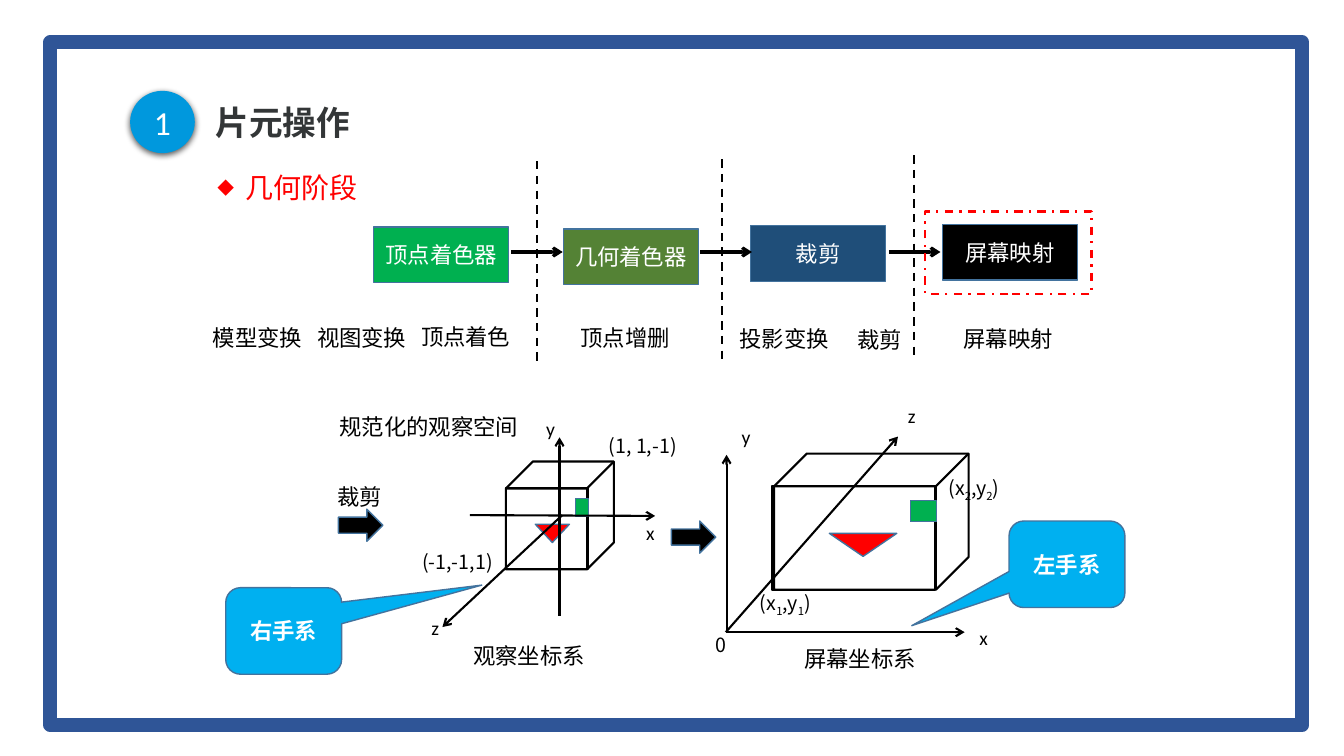
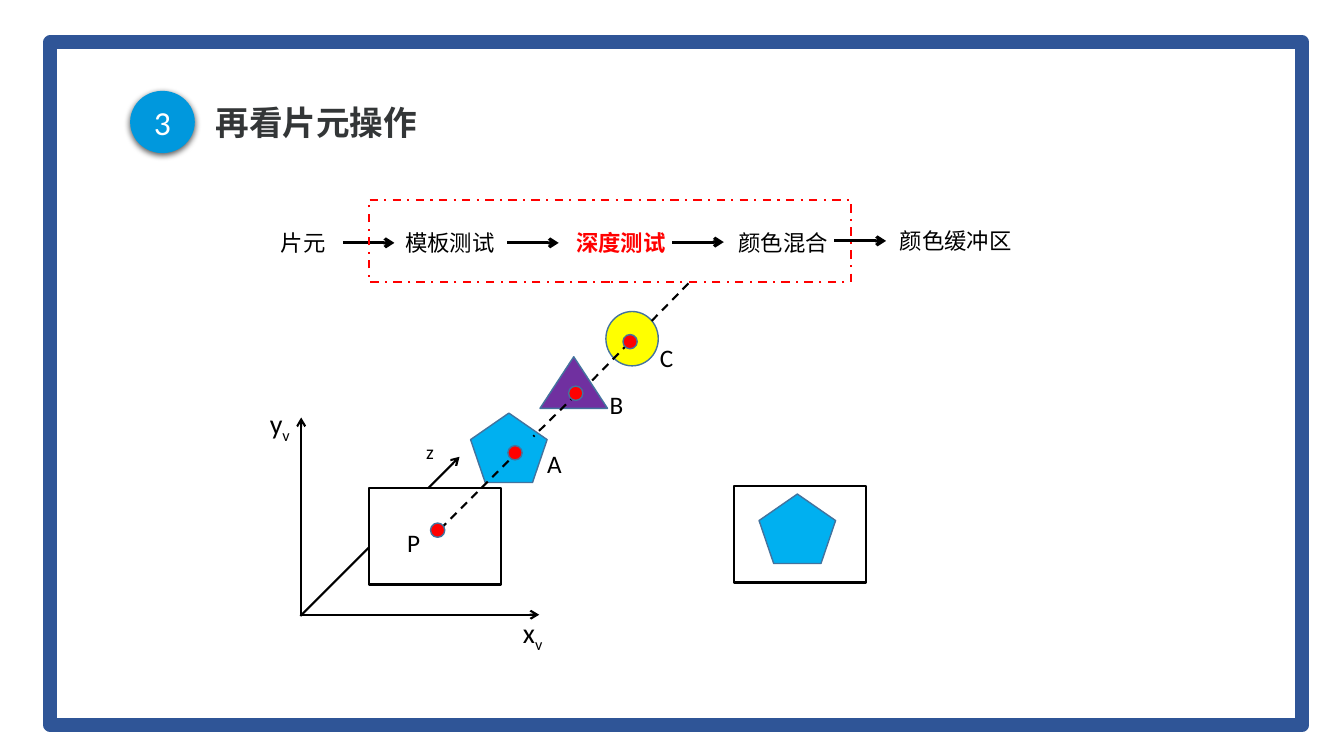
"""Build two slides on the geometry stage and fragment operations."""
from dataclasses import dataclass

from lxml import etree
from pptx import Presentation
from pptx.dml.color import RGBColor
from pptx.enum import dml, shapes, text
from pptx.oxml import ns
from pptx.util import Cm, Pt

KIND = shapes.MSO_SHAPE
DASH = dml.MSO_LINE


@dataclass(frozen=True)
class Theme:
    """Colours, fonts and type sizes of the deck."""
    frame: str = "2F5597"
    badge: str = "0098DD"
    title: str = "333637"
    ink: str = "000000"
    paper: str = "FFFFFF"
    outline: str = "43739E"
    accent: str = "FF0000"
    green: str = "00B050"
    olive: str = "548235"
    navy: str = "1F4E79"
    sky: str = "00B0F0"
    purple: str = "7030A0"
    yellow: str = "FFFF00"
    cjk: str = "Noto Sans CJK SC"
    latin: str = "Calibri"
    title_size: int = 24
    heading_size: int = 20
    point_size: int = 18
    body_size: int = 16
    axis_size: int = 14


THEME = Theme()


def child(parent, tag, **attributes):
    """Append a DrawingML element to a parent and return it."""
    element = etree.SubElement(parent, ns.qn(tag))
    for key, value in attributes.items():
        element.set(key, str(value))
    return element


def add_run(paragraph, words, size, color=THEME.ink, font=THEME.cjk, bold=False, subscript=False):
    """Add one formatted run to a paragraph."""
    run = paragraph.add_run()
    run.text = words
    run.font.size = Pt(size)
    run.font.bold = bold
    run.font.color.rgb = RGBColor.from_string(color)
    run.font.name = font
    properties = run._r.get_or_add_rPr()
    child(properties, "a:ea", typeface=font)
    if subscript:
        properties.set("baseline", "-25000")


def add_bullet(paragraph, symbol, indent):
    """Give a paragraph a hanging bullet."""
    properties = paragraph._p.get_or_add_pPr()
    properties.set("marL", str(Cm(indent)))
    properties.set("indent", str(-Cm(indent)))
    child(properties, "a:buSzPct", val=60000)
    child(properties, "a:buFont", typeface=THEME.cjk)
    child(properties, "a:buChar", char=symbol)


def label(slide, left, top, words, size=THEME.body_size, bullet=None, **style):
    """Add a text label; odd parts of a tuple are subscripts."""
    parts = words if isinstance(words, tuple) else (words,)
    ems = sum(1 if ord(letter) > 255 else 0.65 for letter in "".join(parts))
    indent = 0.7 if bullet else 0
    width = ems * size * 0.0353 + 0.65 + indent
    box = slide.shapes.add_textbox(Cm(left), Cm(top), Cm(width), Cm(size * 0.04 + 0.3))
    box.text_frame.word_wrap = True
    paragraph = box.text_frame.paragraphs[0]
    if bullet:
        add_bullet(paragraph, bullet, indent)
    for index, part in enumerate(parts):
        add_run(paragraph, part, size, subscript=index % 2 == 1, **style)


def axis_label(slide, left, top, words, font=THEME.latin):
    """Add a small axis or coordinate label."""
    label(slide, left, top, words, THEME.axis_size, font=font)


def figure(slide, kind, box, fill=None, line=THEME.outline, weight=1, dash=None, adjust=()):
    """Add a preset shape with its fill and outline."""
    shape = slide.shapes.add_shape(kind, *map(Cm, box))
    shape.shadow.inherit = False
    if fill:
        shape.fill.solid()
        shape.fill.fore_color.rgb = RGBColor.from_string(fill)
    else:
        shape.fill.background()
    if line:
        shape.line.color.rgb = RGBColor.from_string(line)
        shape.line.width = Pt(weight)
        if dash:
            shape.line.dash_style = dash
    else:
        shape.line.fill.background()
    for index, value in enumerate(adjust):
        shape.adjustments[index] = value
    return shape


def wire(slide, kind, box, fill=None, adjust=()):
    """Add a shape drawn in black outline."""
    figure(slide, kind, box, fill, THEME.ink, 1.5, adjust=adjust)


def highlight(slide, box):
    """Add a red dash-dot frame."""
    figure(slide, KIND.RECTANGLE, box, line=THEME.accent, weight=1.5, dash=DASH.DASH_DOT)


def caption(shape, words, size=THEME.body_size, **style):
    """Centre white words in a shape."""
    shape.text_frame.vertical_anchor = text.MSO_ANCHOR.MIDDLE
    paragraph = shape.text_frame.paragraphs[0]
    paragraph.alignment = text.PP_ALIGN.CENTER
    add_run(paragraph, words, size, THEME.paper, **style)


def line(slide, start, end, weight=1.5, dashed=False, arrow=False):
    """Add a straight line, dashed or with an arrowhead."""
    stroke = slide.shapes.add_connector(
        shapes.MSO_CONNECTOR.STRAIGHT, *map(Cm, (*start, *end)))
    stroke.line.color.rgb = RGBColor.from_string(THEME.ink)
    stroke.line.width = Pt(weight)
    if dashed:
        stroke.line.dash_style = DASH.DASH
    if arrow:
        child(stroke.line._get_or_add_ln(), "a:tailEnd", type="arrow")
    child(stroke._element.spPr, "a:effectLst")


def flow_arrows(slide, starts):
    """Add the short arrows that join the steps of a pipeline."""
    for x, y in starts:
        line(slide, (x, y), (x + 1.3, y), 2.25, arrow=True)


def axes(slide, *rays):
    """Add coordinate axes ending in arrowheads."""
    for start, end in rays:
        line(slide, start, end, arrow=True)


def add_frame(slide, layout):
    """Place the blue page frame on the layout."""
    frame = figure(slide, KIND.RECTANGLE, (1.27, 1.07, 31.55, 17.2), line=THEME.frame, weight=10)
    layout.shapes.element.append(frame.element)


def add_heading(slide, number, words):
    """Fill the title and add the numbered badge."""
    title = slide.shapes.title
    title.left, title.top, title.width, title.height = map(Cm, (5.18, 2.36, 21.21, 1.55))
    title.text_frame.vertical_anchor = text.MSO_ANCHOR.MIDDLE
    paragraph = title.text_frame.paragraphs[0]
    paragraph.alignment = text.PP_ALIGN.LEFT
    paragraph.line_spacing = 0.9
    add_run(paragraph, words, THEME.title_size, THEME.title, bold=True)
    badge = figure(slide, KIND.OVAL, (3.28, 2.29, 1.63, 1.57), THEME.badge, line=None)
    effects = badge._element.spPr.find(ns.qn("a:effectLst"))
    shadow = child(effects, "a:outerShdw", blurRad=Pt(4.5), dist=Pt(1.5), dir=5400000)
    child(child(shadow, "a:srgbClr", val=THEME.ink), "a:alpha", val=63000)
    caption(badge, number, THEME.title_size, font=THEME.latin)


def draw_stages(slide):
    """Draw the geometry pipeline and the work done in each stage."""
    for words, fill, left, top in (
            ("顶点着色器", THEME.green, 9.42, 5.72), ("几何着色器", THEME.olive, 14.2, 5.77),
            ("裁剪", THEME.navy, 18.92, 5.69), ("屏幕映射", THEME.ink, 23.75, 5.66)):
        caption(figure(slide, KIND.RECTANGLE, (left, top, 3.4, 1.4), fill), words)
    flow_arrows(slide, ((12.88, 6.35), (17.65, 6.35), (22.4, 6.35)))
    for x, top in ((13.54, 4.06), (18.19, 4.01), (23.04, 3.91)):
        line(slide, (x, top), (x, top + 5.18), dashed=True)
    for words, left, top in (
            ("模型变换", 5.11, 8.05), ("视图变换", 7.74, 8.05), ("顶点着色", 10.36, 8.03),
            ("顶点增删", 14.38, 8.05), ("投影变换", 18.39, 8.08), ("裁剪", 21.36, 8.1),
            ("屏幕映射", 24.03, 8.08)):
        label(slide, left, top, words)
    highlight(slide, (23.32, 5.33, 4.19, 2.08))


def draw_space(slide, cube, depth, front, triangle, square):
    """Draw a viewing box with the two objects on its front face."""
    wire(slide, KIND.CUBE, cube, adjust=(depth,))
    wire(slide, KIND.RECTANGLE, front)
    figure(slide, KIND.ISOSCELES_TRIANGLE, triangle, THEME.accent).rotation = 180
    figure(slide, KIND.RECTANGLE, square, THEME.green)


def draw_spaces(slide):
    """Draw the view space and the screen space with their axes."""
    draw_space(slide, (12.75, 11.63, 2.72, 2.72), 0.25, (12.75, 12.29, 2.06, 2.06),
               (13.49, 13.21, 0.86, 0.46), (14.5, 12.57, 0.33, 0.43))
    axes(slide, ((14.1, 15.52), (14.1, 11.02)), ((11.84, 12.98), (16.51, 13)),
         ((14.17, 12.98), (11.15, 15.8)))
    axes(slide, ((18.29, 15.93), (22.63, 11)))
    draw_space(slide, (19.51, 11.43, 4.9, 3.43), 0.24, (19.46, 12.24, 4.11, 2.64),
               (20.9, 13.44, 1.7, 0.58), (22.94, 12.62, 0.66, 0.53))
    axes(slide, ((18.31, 15.95), (18.31, 11.46)), ((18.31, 15.93), (24.31, 15.93)))
    for left, top in ((8.53, 12.83), (16.92, 13.13)):
        figure(slide, KIND.RIGHT_ARROW, (left, top, 1.12, 0.81), THEME.ink)
    for words, left, top in (
            ("规范化的观察空间", 8.31, 10.29), ("裁剪", 8.26, 12.04),
            ("观察坐标系", 11.68, 16.05), ("屏幕坐标系", 20.02, 16.13)):
        label(slide, left, top, words)
    for words, left, top in (
            ("y", 13.51, 10.39), ("x", 16.03, 13), ("z", 10.62, 15.39),
            ("y", 18.44, 10.59), ("x", 24.43, 15.65), ("z", 22.63, 10.06)):
        axis_label(slide, left, top, words)
    for words, left, top in (
            ("(1, 1,-1)", 15.09, 10.8), ("(-1,-1,1)", 10.39, 13.72), ("0", 17.78, 15.82),
            (("(x", "1", ",y", "1", ")"), 18.9, 14.76),
            (("(x", "2", ",y", "2", ")"), 23.65, 11.86)):
        axis_label(slide, left, top, words, THEME.cjk)
    for words, left, top, pointer in (
            ("右手系", 5.69, 14.81, (1.71, -0.53, 0.17)),
            ("左手系", 25.43, 13.13, (-1.34, 0.71, 0.17))):
        callout = figure(slide, KIND.ROUNDED_RECTANGULAR_CALLOUT, (left, top, 2.92, 2.18),
                         THEME.sky, adjust=pointer)
        caption(callout, words, bold=True)


def draw_tests(slide):
    """Draw the chain of tests a fragment passes through."""
    flow_arrows(slide, ((8.64, 6.12), (12.78, 6.12), (16.94, 6.1), (21.03, 6.07)))
    highlight(slide, (9.3, 5.03, 12.14, 2.08))
    for words, left, top in (
            ("片元", 6.83, 5.66), ("模板测试", 9.96, 5.66),
            ("颜色混合", 18.36, 5.64), ("颜色缓冲区", 22.43, 5.61)):
        label(slide, left, top, words)
    label(slide, 14.27, 5.66, "深度测试", color=THEME.accent, bold=True)


def draw_depth_scene(slide):
    """Draw the objects along one line of sight and the visible result."""
    axes(slide, ((7.57, 15.52), (11.58, 11.51)))
    for left, top in ((9.3, 12.29), (18.49, 12.24)):
        wire(slide, KIND.RECTANGLE, (left, top, 3.33, 2.44), THEME.paper)
    axes(slide, ((7.59, 15.52), (7.59, 10.52)), ((7.59, 15.49), (13.59, 15.49)))
    for kind, box, fill in (
            (KIND.REGULAR_PENTAGON, (11.86, 10.41, 1.93, 1.75), THEME.sky),
            (KIND.ISOSCELES_TRIANGLE, (13.61, 8.99, 1.7, 1.3), THEME.purple),
            (KIND.OVAL, (15.27, 7.85, 1.32, 1.37), THEME.yellow),
            (KIND.REGULAR_PENTAGON, (19.13, 12.45, 1.93, 1.75), THEME.sky)):
        figure(slide, kind, box, fill)
    for start, end in (
            ((13.08, 11.35), (11.02, 13.41)), ((14.53, 9.93), (13.44, 11)),
            ((15.85, 8.64), (14.88, 9.63)), ((17.35, 7.14), (16.38, 8.13))):
        line(slide, start, end, dashed=True)
    for left, top in ((10.85, 13.18), (12.8, 11.23), (14.33, 9.73), (15.7, 8.43)):
        figure(slide, KIND.OVAL, (left, top, 0.36, 0.36), THEME.accent)
    for words, left, top in (
            ("P", 10.01, 13.16), ("A", 13.54, 11.18), ("B", 15.11, 9.68), ("C", 16.38, 8.51)):
        label(slide, left, top, words, THEME.point_size, font=THEME.latin)
    for words, left, top in ((("y", "v"), 6.55, 10.13), (("x", "v"), 12.93, 15.39)):
        label(slide, left, top, words, THEME.heading_size, font=THEME.latin)
    axis_label(slide, 10.49, 10.95, "z")


def main():
    """Build and save the deck."""
    deck = Presentation()
    deck.slide_width, deck.slide_height = Cm(33.87), Cm(19.05)
    title_only = deck.slide_layouts[5]
    geometry = deck.slides.add_slide(title_only)
    add_frame(geometry, title_only)
    add_heading(geometry, "1", "片元操作")
    label(geometry, 5.23, 4.17, "几何阶段", THEME.heading_size, bullet="◆", color=THEME.accent)
    draw_stages(geometry)
    draw_spaces(geometry)
    fragments = deck.slides.add_slide(title_only)
    add_heading(fragments, "3", "再看片元操作")
    draw_tests(fragments)
    draw_depth_scene(fragments)
    deck.save("out.pptx")


if __name__ == "__main__":
    main()
